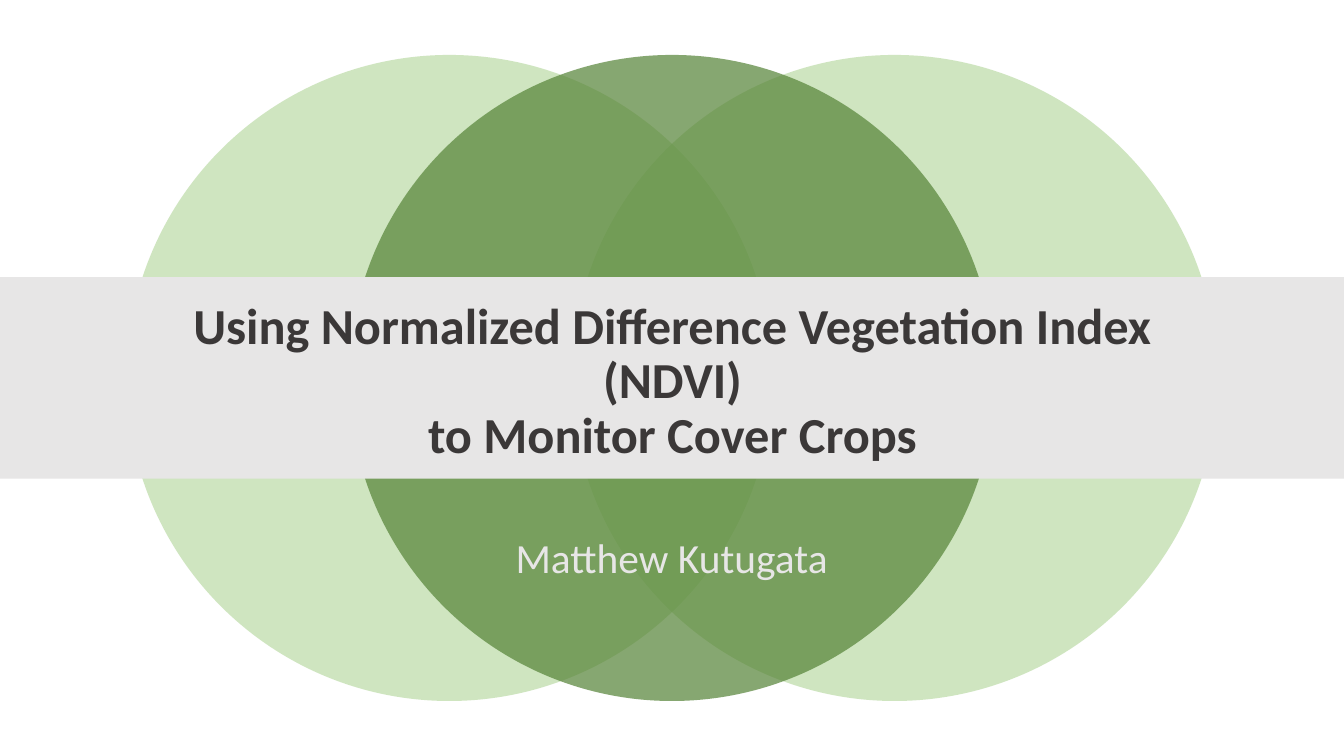
from pptx import Presentation
from pptx.dml.color import RGBColor
from pptx.enum.shapes import MSO_SHAPE as Shape
from pptx.enum.text import MSO_ANCHOR as Anchor, PP_ALIGN as Align
from pptx.oxml.ns import qn
from pptx.util import Cm, Pt
from lxml.etree import SubElement

TITLE = "Using Normalized Difference Vegetation Index (NDVI)\vto Monitor Cover Crops"
AUTHOR = "Matthew Kutugata"

THEME = {
    "light": "A9D18E", "dark": "548235", "band": "E7E6E6", "ink": "3B3838",
    "font": "Calibri", "title_size": 36, "author_size": 29.6,
}

PAGE_WIDTH, PAGE_HEIGHT = 33.87, 19.05
DIAMETER, CIRCLE_STEP = 16.28, 5.61
BAND_HEIGHT = 5.08
# Steps from the page centre, theme colour, opacity in percent; back to front
CIRCLES = [(-1, "light", 55), (1, "light", 55), (0, "dark", 70)]


def add_plain_shape(page, kind, place, color, opacity=100):
    shape = page.shapes.add_shape(kind, *map(Cm, place))
    shape.shadow.inherit = False
    shape.line.fill.background()
    shape.fill.solid()
    shape.fill.fore_color.rgb = RGBColor.from_string(THEME[color])
    if opacity < 100:
        color_node = shape.fill._xPr.find(qn("a:solidFill"))[0]
        SubElement(color_node, qn("a:alpha"), val=str(opacity * 1000))


def add_centered_text(page, text, place, anchor, color, spacing, font_format):
    box = page.shapes.add_textbox(*map(Cm, place))
    frame = box.text_frame
    frame.word_wrap = True
    frame.vertical_anchor = anchor
    frame.margin_top = frame.margin_bottom = 0
    para = frame.paragraphs[0]
    para.text = text
    para.alignment = Align.CENTER
    para.line_spacing = spacing
    for span in para.runs:
        for name, value in font_format.items():
            setattr(span.font, name, value)
        span.font.color.rgb = RGBColor.from_string(THEME[color])


def main():
    deck = Presentation()
    deck.slide_width, deck.slide_height = Cm(PAGE_WIDTH), Cm(PAGE_HEIGHT)
    page = deck.slides.add_slide(deck.slide_layouts[6])

    for step, color, opacity in CIRCLES:
        left = (PAGE_WIDTH - DIAMETER) / 2 + step * CIRCLE_STEP
        top = (PAGE_HEIGHT - DIAMETER) / 2
        add_plain_shape(page, Shape.OVAL, (left, top, DIAMETER, DIAMETER), color, opacity)

    add_centered_text(
        page, AUTHOR, (4.23, 12.5, 25.4, 2.17), Anchor.BOTTOM, "band", 1.0,
        {"name": THEME["font"], "size": Pt(THEME["author_size"])})

    band_top = (PAGE_HEIGHT - BAND_HEIGHT) / 2
    add_plain_shape(page, Shape.RECTANGLE, (0, band_top, PAGE_WIDTH, BAND_HEIGHT), "band")
    add_centered_text(
        page, TITLE, (3.2, 7.72, 27.5, 3.84), Anchor.MIDDLE, "ink", 0.9,
        {"name": THEME["font"], "size": Pt(THEME["title_size"]), "bold": True})

    deck.save("out.pptx")


if __name__ == "__main__":
    main()
